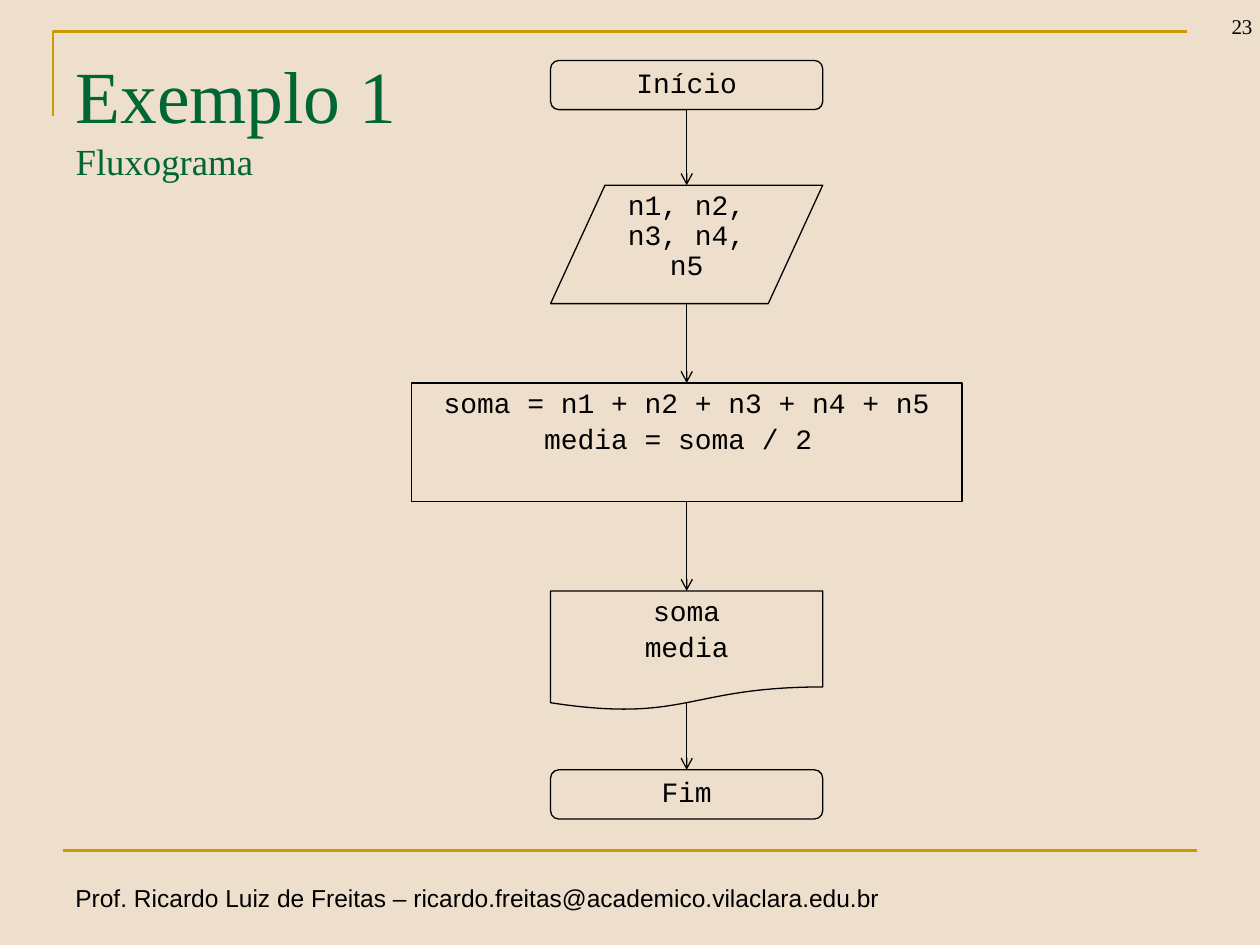
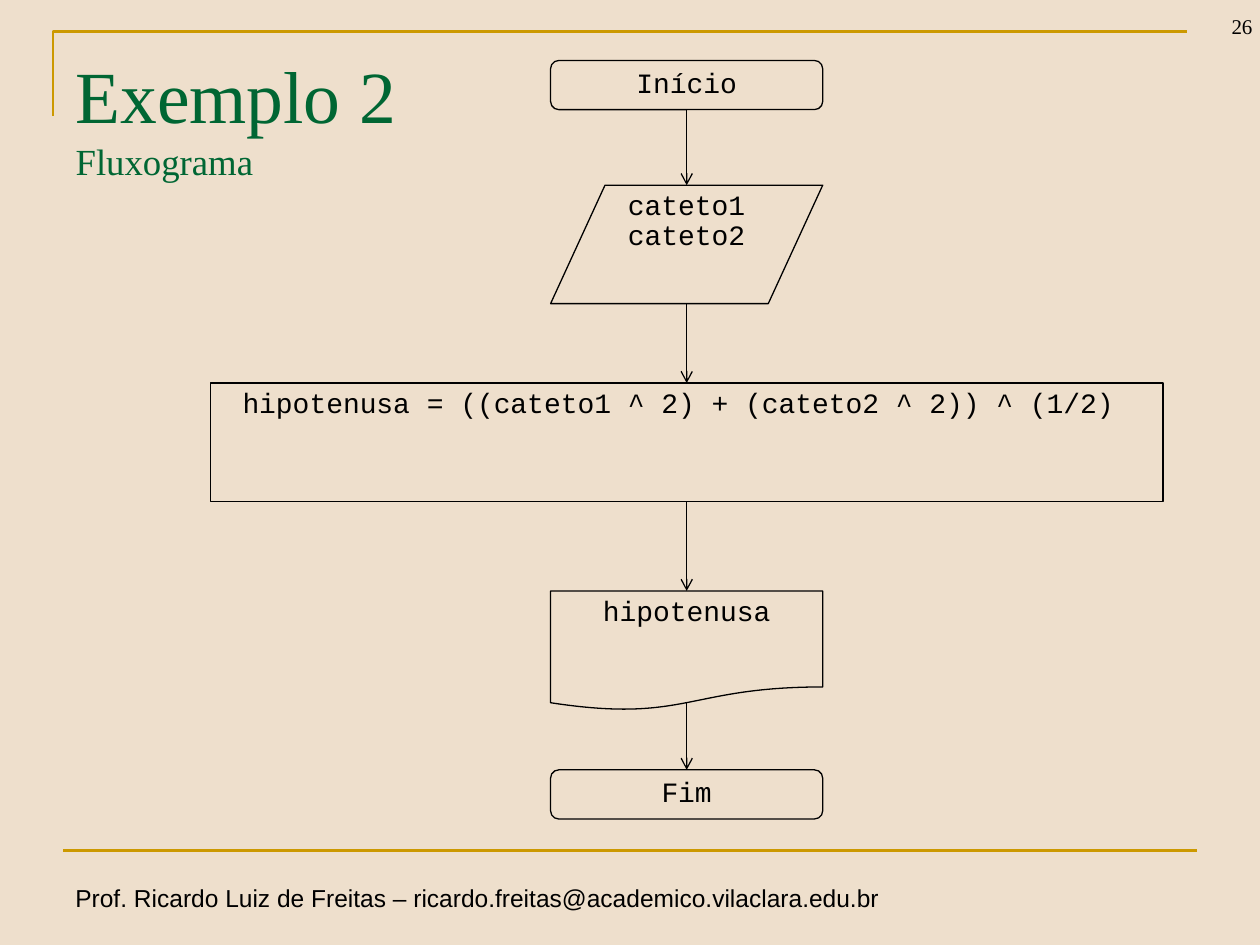
from dataclasses import dataclass

from lxml import etree
from pptx import Presentation
from pptx.dml.color import RGBColor
from pptx.enum import shapes, text
from pptx.oxml.ns import qn
from pptx.util import Inches, Pt


@dataclass(frozen=True)
class Theme:
    background: RGBColor = RGBColor(0xEE, 0xDF, 0xCC)
    gold: RGBColor = RGBColor(0xCC, 0x99, 0x00)
    green: RGBColor = RGBColor(0x00, 0x66, 0x33)
    black: RGBColor = RGBColor(0x00, 0x00, 0x00)
    serif: str = "Times New Roman"
    sans: str = "Arial"
    mono: str = "Courier New"
    title_size: int = 42
    subtitle_size: int = 21
    node_size: int = 16
    footer_size: int = 14
    number_size: int = 12
    frame_width: float = 1.5
    node_width: float = 0.75


THEME = Theme()
SHAPE = shapes.MSO_SHAPE
FOOTER = "Prof. Ricardo Luiz de Freitas – ricardo.freitas@academico.vilaclara.edu.br"
AXIS = 5.45
NARROW = 2.16
DOCUMENT_WAVE = 0.06


def add_run(p, content, font, size, color):
    r = p.add_run()
    r.text = content
    r.font.name = font
    r.font.size = Pt(size)
    r.font.color.rgb = color


def add_line(slide, start, end, color, width, arrow=False):
    points = [Inches(v) for v in (*start, *end)]
    line = slide.shapes.add_connector(shapes.MSO_CONNECTOR.STRAIGHT, *points)
    line.line.color.rgb = color
    line.line.width = Pt(width)
    if arrow:
        etree.SubElement(line.line._get_or_add_ln(), qn("a:tailEnd"), type="arrow")
    etree.SubElement(line._element.spPr, qn("a:effectLst"))


def add_label(slide, box, content, font, size):
    sp = slide.shapes.add_textbox(*[Inches(v) for v in box])
    p = sp.text_frame.paragraphs[0]
    add_run(p, content, font, size, THEME.black)
    return sp.text_frame, p


def add_frame(slide, number):
    builder = slide.shapes.build_freeform(Inches(0.42), Inches(0.92))
    corner = [(Inches(0.42), Inches(0.25)), (Inches(9.42), Inches(0.25))]
    builder.add_line_segments(corner, close=False)
    sp = builder.convert_to_shape()
    sp.shadow.inherit = False
    sp.fill.background()
    sp.line.color.rgb = THEME.gold
    sp.line.width = Pt(THEME.frame_width)

    add_line(slide, (0.5, 6.75), (9.5, 6.75), THEME.gold, THEME.frame_width)
    tf, p = add_label(slide, (0.5, 6.96, 6.86, 0.34), FOOTER, THEME.sans, THEME.footer_size)
    tf.word_wrap = False

    tf, p = add_label(slide, (9.25, 0, 0.75, 0.36), number, THEME.serif, THEME.number_size)
    tf.word_wrap = True
    tf.margin_right = Inches(0.06)
    tf.vertical_anchor = text.MSO_ANCHOR.BOTTOM
    p.alignment = text.PP_ALIGN.RIGHT


def set_title(slide, title, subtitle):
    sp = slide.shapes.title
    sp.left, sp.top, sp.width, sp.height = [Inches(v) for v in (0.5, 0.3, 9, 1.25)]
    sp.text_frame.vertical_anchor = text.MSO_ANCHOR.MIDDLE
    p = sp.text_frame.paragraphs[0]
    p.alignment = text.PP_ALIGN.LEFT
    add_run(p, title, THEME.serif, THEME.title_size, THEME.green)
    p.add_line_break()
    add_run(p, subtitle, THEME.serif, THEME.subtitle_size, THEME.green)


def add_node(slide, kind, top, height, width, lines):
    box = (AXIS - width / 2, top, width, height)
    sp = slide.shapes.add_shape(kind, *[Inches(v) for v in box])
    sp.shadow.inherit = False
    sp.fill.background()
    sp.line.color.rgb = THEME.black
    sp.line.width = Pt(THEME.node_width)
    tf = sp.text_frame
    tf.word_wrap = True
    tf.vertical_anchor = text.MSO_ANCHOR.TOP
    for i, content in enumerate(lines):
        p = tf.add_paragraph() if i else tf.paragraphs[0]
        p.alignment = text.PP_ALIGN.CENTER
        p.line_spacing = 0.9
        p.space_before = Pt(3.5)
        add_run(p, content, THEME.mono, THEME.node_size, THEME.black)


def add_flowchart(slide, inputs, process, process_width, outputs):
    nodes = [
        (SHAPE.FLOWCHART_ALTERNATE_PROCESS, 0.48, 0.39, NARROW, ["Início"]),
        (SHAPE.FLOWCHART_DATA, 1.47, 0.94, NARROW, [inputs]),
        (SHAPE.FLOWCHART_PROCESS, 3.04, 0.94, process_width, process),
        (SHAPE.FLOWCHART_DOCUMENT, 4.69, 0.95, NARROW, outputs),
        (SHAPE.FLOWCHART_ALTERNATE_PROCESS, 6.11, 0.39, NARROW, ["Fim"]),
    ]
    for node in nodes:
        add_node(slide, *node)
    for (kind, top, height, *_), following in zip(nodes, nodes[1:]):
        bottom = top + height
        if kind == SHAPE.FLOWCHART_DOCUMENT:
            bottom -= DOCUMENT_WAVE
        add_line(slide, (AXIS, bottom), (AXIS, following[1]),
                 THEME.black, THEME.node_width, arrow=True)


def add_example(prs, number, title, **flow):
    slide = prs.slides.add_slide(prs.slide_layouts[5])
    add_frame(slide, number)
    set_title(slide, title, "Fluxograma")
    add_flowchart(slide, **flow)


def main():
    prs = Presentation()
    prs.slide_width, prs.slide_height = Inches(10), Inches(7.5)
    fill = prs.slide_master.background.fill
    fill.solid()
    fill.fore_color.rgb = THEME.background

    add_example(
        prs, "23", "Exemplo 1",
        inputs="n1, n2, n3, n4, n5",
        process=["soma = n1 + n2 + n3 + n4 + n5", "media = soma / 2 "],
        process_width=4.37,
        outputs=["soma", "media"],
    )
    add_example(
        prs, "26", "Exemplo 2",
        inputs="cateto1 cateto2",
        process=["hipotenusa = ((cateto1 ^ 2) + (cateto2 ^ 2)) ^ (1/2) "],
        process_width=7.56,
        outputs=["hipotenusa"],
    )
    prs.save("out.pptx")


if __name__ == "__main__":
    main()
